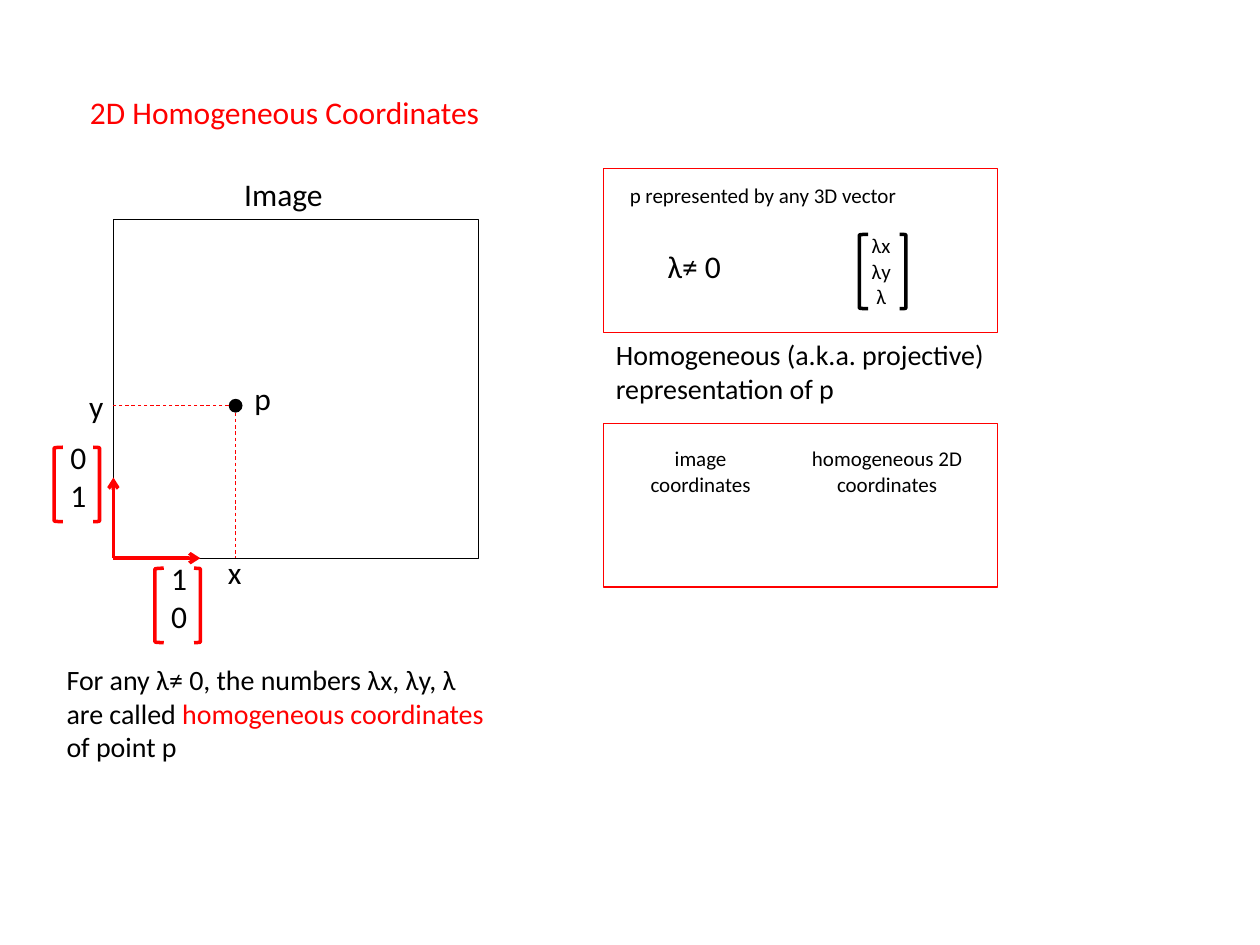
from dataclasses import dataclass

from lxml import etree
from pptx import Presentation
from pptx.dml.color import RGBColor
from pptx.enum import dml, shapes, text
from pptx.oxml.ns import qn
from pptx.util import Inches, Pt


@dataclass(frozen=True)
class Theme:
    font: str = "Calibri"
    ink: RGBColor = RGBColor(0x00, 0x00, 0x00)
    accent: RGBColor = RGBColor(0xFF, 0x00, 0x00)
    large: int = 18
    body: int = 16
    small: int = 12
    thin: float = 0.5
    outline: float = 0.75
    bold: float = 2


def add_run(p, content, *, font, size, color):
    r = p.add_run()
    r.text = content
    r.font.name = font
    r.font.size = Pt(size)
    r.font.color.rgb = color


class Canvas:
    def __init__(self, slide, theme):
        self.shapes = slide.shapes
        self.theme = theme

    def text(self, box, paragraphs, size, wrap=False, center=False):
        """Each paragraph is a list of (text, color) runs."""
        tf = self.shapes.add_textbox(*map(Inches, box)).text_frame
        tf.word_wrap = wrap
        tf.auto_size = text.MSO_AUTO_SIZE.SHAPE_TO_FIT_TEXT
        for i, runs in enumerate(paragraphs):
            p = tf.paragraphs[0] if i == 0 else tf.add_paragraph()
            p.alignment = text.PP_ALIGN.CENTER if center else text.PP_ALIGN.LEFT
            for content, color in runs:
                add_run(p, content, font=self.theme.font, size=size, color=color)

    def label(self, box, content, size, **options):
        lines = content.split("\n")
        self.text(box, [[(line, self.theme.ink)] for line in lines], size, **options)

    def shape(self, kind, box, line=None, width=None, fill=None):
        sp = self.shapes.add_shape(kind, *map(Inches, box))
        sp.shadow.inherit = False
        if fill is None:
            sp.fill.background()
        else:
            sp.fill.solid()
            sp.fill.fore_color.rgb = fill
        if line is None:
            sp.line.fill.background()
        else:
            sp.line.color.rgb = line
            sp.line.width = Pt(width)
        return sp

    def frame(self, box, color):
        self.shape(shapes.MSO_SHAPE.RECTANGLE, box, color, self.theme.outline)

    def line(self, start, end, width, dashed=False, arrow=False):
        cx = self.shapes.add_connector(
            shapes.MSO_CONNECTOR.STRAIGHT, *map(Inches, (*start, *end)))
        cx.line.color.rgb = self.theme.accent
        cx.line.width = Pt(width)
        if dashed:
            cx.line.dash_style = dml.MSO_LINE.DASH
        if arrow:
            ln = cx.line._get_or_add_ln()
            etree.SubElement(ln, qn("a:tailEnd"), type="arrow")
        etree.SubElement(cx._element.spPr, qn("a:effectLst"))

    def vector(self, x, y, entries, text_box, size, color, gap=0.31):
        """Column vector with its left bracket at (x, y)."""
        self.label(text_box, entries, size)
        bracket = shapes.MSO_SHAPE.LEFT_BRACKET
        self.shape(bracket, (x, y, 0.07, 0.59), color, self.theme.bold)
        right = self.shape(bracket, (x + gap, y, 0.05, 0.59), color, self.theme.bold)
        right._element.spPr.xfrm.set("flipH", "1")


def main():
    prs = Presentation()
    prs.slide_width, prs.slide_height = Inches(10), Inches(7.5)
    t = Theme()
    s = Canvas(prs.slides.add_slide(prs.slide_layouts[6]), t)

    # Title
    s.text((0.41, 0.69, 3.7, 0.4), [[("2D Homogeneous Coordinates", t.accent)]],
           t.large, wrap=True, center=True)

    # Image frame with its axes
    left, top, width, height = 0.9, 1.74, 2.9, 2.69
    bottom = top + height
    s.frame((left, top, width, height), t.ink)
    for tip in ((left, 3.79), (1.59, bottom)):
        s.line((left, bottom), tip, t.bold, arrow=True)

    # Point p and its projections on the axes
    px, py, dot = 1.87, 3.22, 0.11
    s.shape(shapes.MSO_SHAPE.OVAL, (px - dot / 2, py - dot / 2, dot, dot), fill=t.ink)
    s.line((px - dot / 2, py), (left, py), t.thin, dashed=True)
    s.line((px, py + dot / 2), (px, bottom), t.thin, dashed=True)
    for content, x, y, w in (("y", 0.61, 3.02, 0.32), ("x", 1.71, 4.34, 0.32),
                             ("p", 1.92, 2.96, 0.33), ("Image", 1.84, 1.34, 0.83)):
        s.label((x, y, w, 0.4), content, t.large)

    # Unit vectors
    for x, y, entries in ((0.43, 3.55, "0\n1"), (1.23, 4.51, "1\n0")):
        s.vector(x, y, entries, (x + 0.03, y - 0.12, 0.33, 0.71), t.large, t.accent)

    # Definition
    s.text((0.43, 5.21, 3.61, 0.91),
           [[("For any λ≠ 0, the numbers λx, λy, λ are called ", t.ink),
             ("homogeneous coordinates", t.accent),
             (" of point p", t.ink)]], t.body, wrap=True)

    # Panels on the right
    panel_x, panel_w, panel_h = 4.79, 3.13, 1.3
    for y in (1.34, 3.36):
        s.frame((panel_x, y, panel_w, panel_h), t.accent)

    # Upper panel: vector representation
    s.label((4.9, 1.4, 2.53, 0.3), "p represented by any 3D vector", t.small, wrap=True)
    s.vector(6.82, 1.86, "λx\nλy\n λ", (6.82, 1.8, 0.37, 0.71), t.small, t.ink, gap=0.32)
    s.label((5.2, 1.91, 0.63, 0.4), "λ≠ 0", t.large)
    s.label((panel_x, 2.63, 3.44, 0.64),
            "Homogeneous (a.k.a. projective) representation of p", t.body, wrap=True)

    # Lower panel: column headings
    for content, x, w in (("image coordinates", 4.97, 1.18),
                          ("homogeneous 2D coordinates", 6.3, 1.48)):
        s.label((x, 3.49, w, 0.5), content, t.small, wrap=True, center=True)

    prs.save("out.pptx")


if __name__ == "__main__":
    main()
